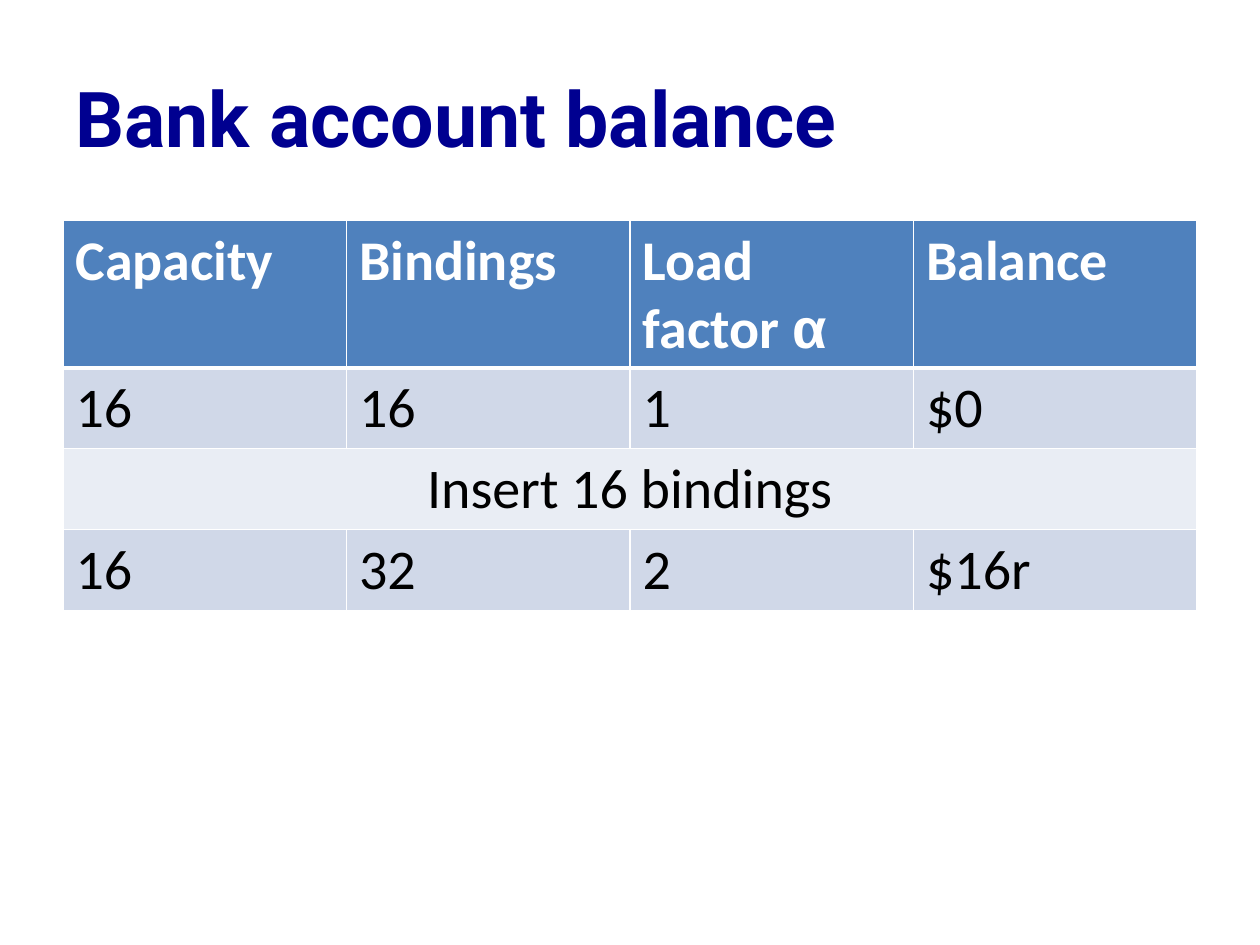
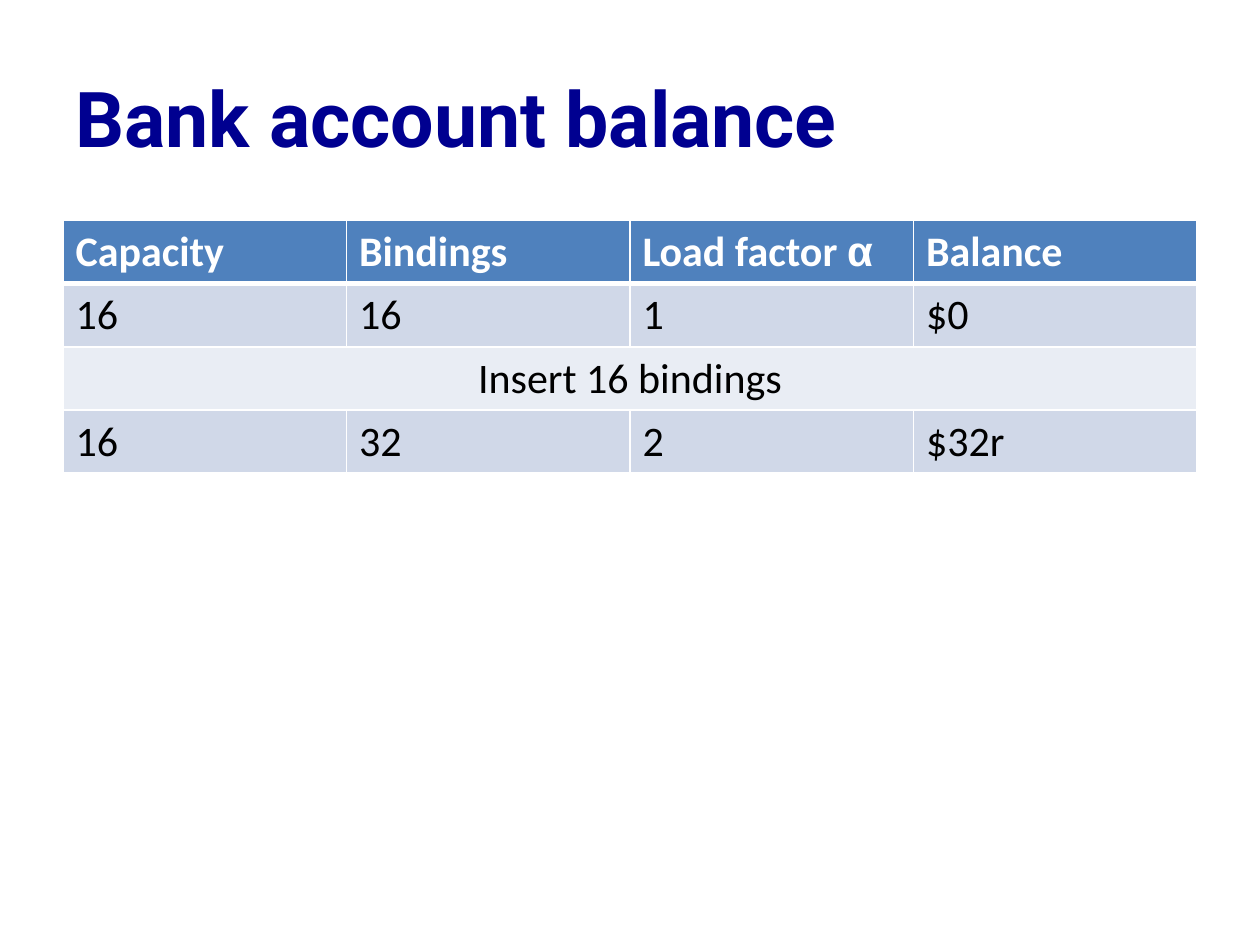
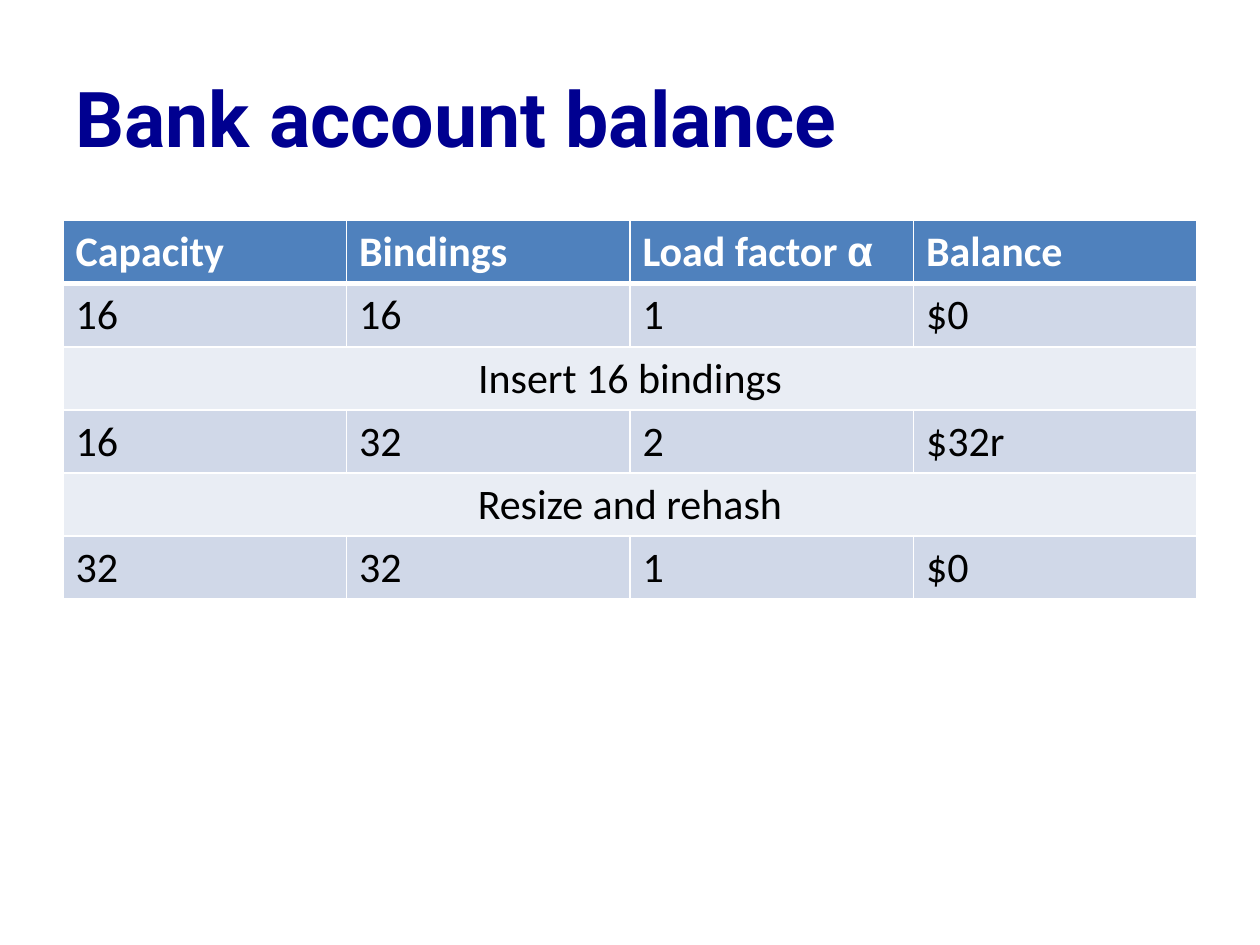
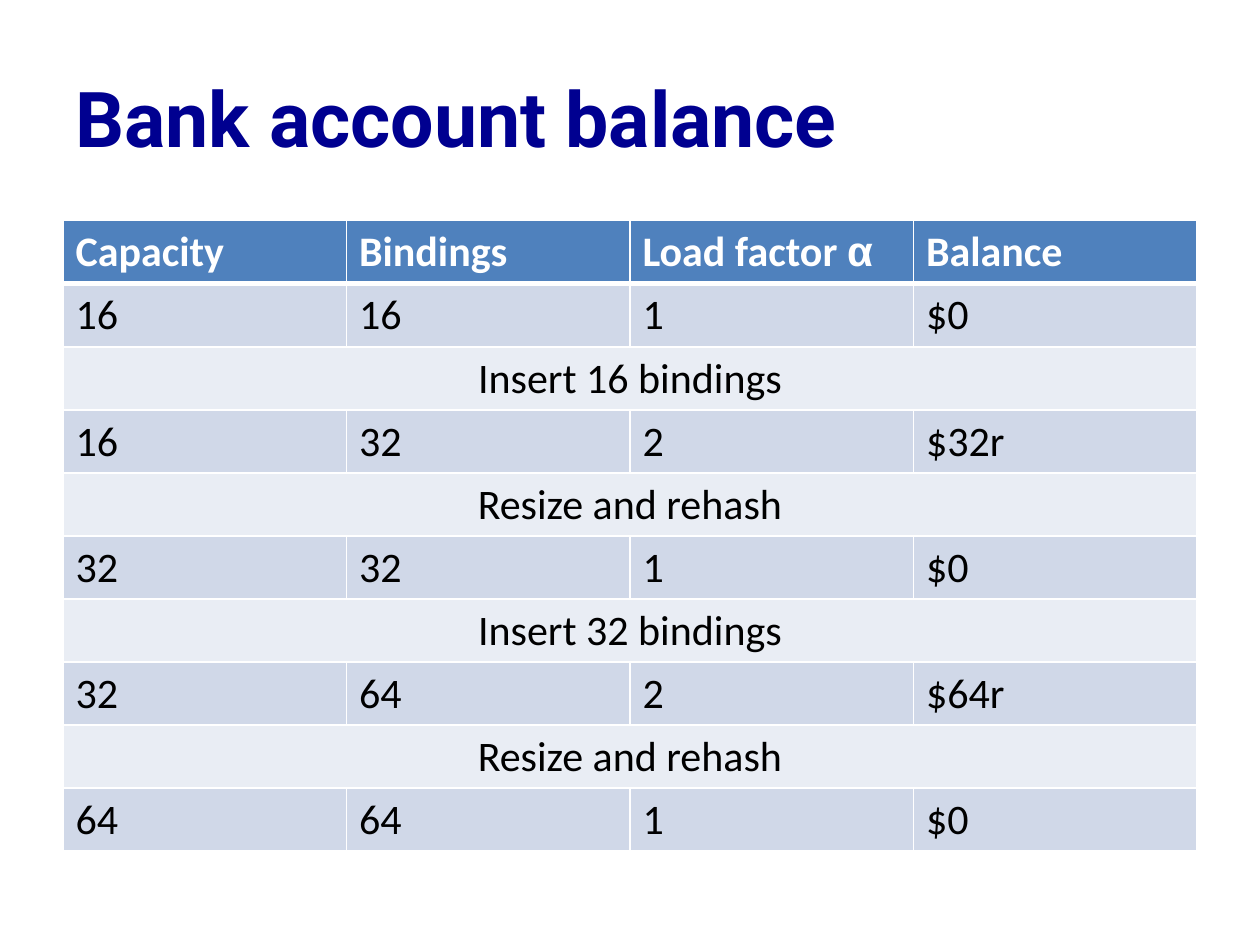
from lxml import etree
from pptx import Presentation
from pptx.dml.color import RGBColor
from pptx.enum.text import MSO_ANCHOR, PP_ALIGN
from pptx.oxml.ns import qn
from pptx.util import Cm, Pt

LEFT, CENTER = PP_ALIGN.LEFT, PP_ALIGN.CENTER
MIDDLE = MSO_ANCHOR.MIDDLE

NAVY = RGBColor(0x00, 0x00, 0x90)
WHITE = RGBColor(0xFF, 0xFF, 0xFF)
BLACK = RGBColor(0x00, 0x00, 0x00)
HEADER_BLUE = RGBColor(0x4F, 0x81, 0xBD)
STATE_BLUE = RGBColor(0xD0, 0xD8, 0xE8)
STEP_BLUE = RGBColor(0xE9, 0xED, 0xF4)

COLS = 4
HEADER = ["Capacity", "Bindings", "Load factor α", "Balance"]

# Rows of four values are states, rows of one text are steps between them
FIRST = [["16", "16", "1", "$0"], ["Insert 16 bindings"]]
STEPS = FIRST + [
    ["16", "32", "2", "$32r"],
    ["Resize and rehash"],
    ["32", "32", "1", "$0"],
    ["Insert 32 bindings"],
    ["32", "64", "2", "$64r"],
    ["Resize and rehash"],
    ["64", "64", "1", "$0"],
]

# Body rows, text size, header height, row height
SLIDES = [
    (FIRST + [["16", "32", "2", "$16r"]], 32, 2.92, 1.63),
    (STEPS[:3], 24, 1.27, 1.27),
    (STEPS[:5], 24, 1.27, 1.27),
    (STEPS, 24, 1.27, 1.27),
]


def add_text(tf, text, size, color, font="Calibri", bold=False, align=LEFT):
    p = tf.paragraphs[0]
    p.alignment = align
    # The Greek letter is set in Arial
    before, alpha, _ = text.partition("α")
    for part, name in ((before, font), (alpha, "Arial")):
        if part:
            r = p.add_run()
            r.text = part
            r.font.name = name
            r.font.size = Pt(size)
            r.font.bold = bold
            r.font.color.rgb = color


def set_borders(cell, **widths):
    tcPr = cell._tc.get_or_add_tcPr()
    for side in "LRTB":
        ln = etree.SubElement(tcPr, qn(f"a:ln{side}"), w=str(Pt(widths.get(side, 1))))
        fill = etree.SubElement(ln, qn("a:solidFill"))
        etree.SubElement(fill, qn("a:srgbClr"), val=str(WHITE))


prs = Presentation()
prs.slide_width, prs.slide_height = Cm(25.4), Cm(19.05)

for body, size, header_height, row_height in SLIDES:
    s = prs.slides.add_slide(prs.slide_layouts[6])

    # Title
    tf = s.shapes.add_textbox(Cm(1.27), Cm(0.76), Cm(22.86), Cm(3.18)).text_frame
    tf.word_wrap = True
    tf.vertical_anchor = MIDDLE
    add_text(tf, "Bank account balance", 44, NAVY, font="Roboto", bold=True)

    # Table
    rows = [HEADER] + body
    height = header_height + row_height * len(body)
    table = s.shapes.add_table(len(rows), COLS, Cm(1.27), Cm(4.45),
                               Cm(22.86), Cm(height)).table
    table.horz_banding = False

    for i, values in enumerate(rows):
        is_header, is_step = i == 0, len(values) == 1
        table.rows[i].height = Cm(header_height if is_header else row_height)
        fill = HEADER_BLUE if is_header else STEP_BLUE if is_step else STATE_BLUE

        for j in range(COLS):
            cell = table.cell(i, j)
            # A thick line parts the header from the body
            set_borders(cell, T=3 if i == 1 else 1, B=3 if is_header else 1)
            cell.fill.solid()
            cell.fill.fore_color.rgb = fill

        if is_step:
            table.cell(i, 0).merge(table.cell(i, COLS - 1))
        for j, value in enumerate(values):
            add_text(table.cell(i, j).text_frame, value, size,
                     WHITE if is_header else BLACK, bold=is_header,
                     align=CENTER if is_step else LEFT)

prs.save("out.pptx")
